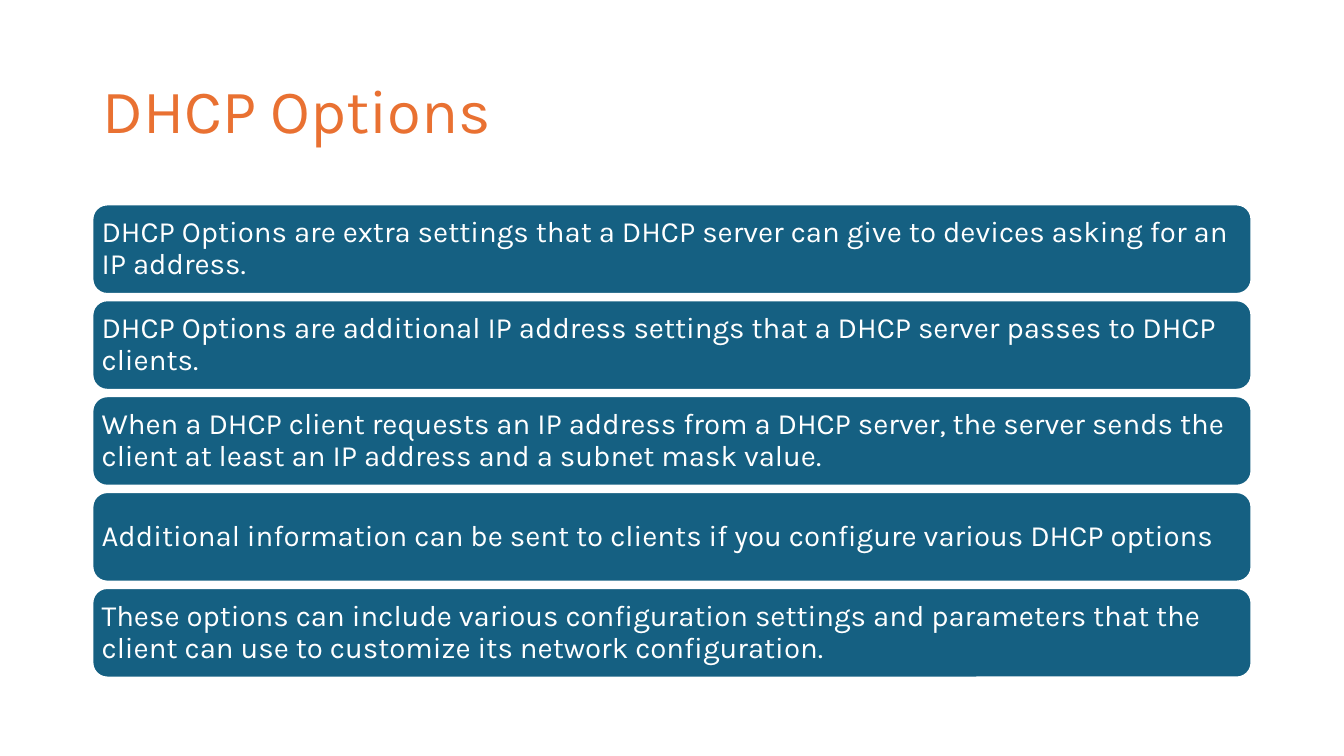
from pptx import Presentation
from pptx.dml.color import RGBColor
from pptx.enum.shapes import MSO_SHAPE
from pptx.enum.text import MSO_ANCHOR, PP_ALIGN
from pptx.util import Pt

ROUND = MSO_SHAPE.ROUNDED_RECTANGLE
MIDDLE = MSO_ANCHOR.MIDDLE
LEFT = PP_ALIGN.LEFT

PX = 6350  # 144 px to the inch

THEME = {
    "font": "Karla",
    "title": RGBColor.from_string("E97132"),
    "bar": RGBColor.from_string("156082"),
    "white": RGBColor.from_string("FFFFFF"),
    "title_size": Pt(44),
    "bar_size": Pt(21),
    "edge": Pt(1.5),
}

POINTS = [
    "DHCP Options are extra settings that a DHCP server can give to devices asking for an IP address.",
    "DHCP Options are additional IP address settings that a DHCP server passes to DHCP clients.",
    "When a DHCP client requests an IP address from a DHCP server, the server sends the client at least an IP address and a subnet mask value.",
    "Additional information can be sent to clients if you configure various DHCP options",
    "These options can include various configuration settings and parameters that the client can use to customize its network configuration.",
]

SIDE, WIDTH = 132 * PX, 1656 * PX
TOP, PITCH, HEIGHT = 292 * PX, 137 * PX, 128 * PX
INSET = 7 * PX


def write(shape, text, size, color):
    """Fill a shape with one left-aligned, vertically centred paragraph."""
    frame = shape.text_frame
    frame.text = text
    frame.word_wrap = True
    frame.vertical_anchor = MIDDLE
    para = frame.paragraphs[0]
    para.alignment = LEFT
    para.line_spacing = 0.9
    para.font.name = THEME["font"]
    para.font.size = size
    para.font.color.rgb = color


deck = Presentation()
deck.slide_width, deck.slide_height = 1920 * PX, 1080 * PX
slide = deck.slides.add_slide(deck.slide_layouts.get_by_name("Title Only"))

title = slide.shapes.title
title.left, title.top = SIDE, 58 * PX
title.width, title.height = WIDTH, 209 * PX
write(title, "DHCP Options", THEME["title_size"], THEME["title"])

for row, point in enumerate(POINTS):
    bar = slide.shapes.add_shape(ROUND, SIDE, TOP + row * PITCH, WIDTH, HEIGHT)
    bar.shadow.inherit = False
    bar.fill.solid()
    bar.fill.fore_color.rgb = THEME["bar"]
    bar.line.color.rgb = THEME["white"]
    bar.line.width = THEME["edge"]
    write(bar, point, THEME["bar_size"], THEME["white"])
    bar.text_frame.margin_left = bar.text_frame.margin_right = INSET
    bar.text_frame.margin_top = bar.text_frame.margin_bottom = INSET

deck.save("out.pptx")
